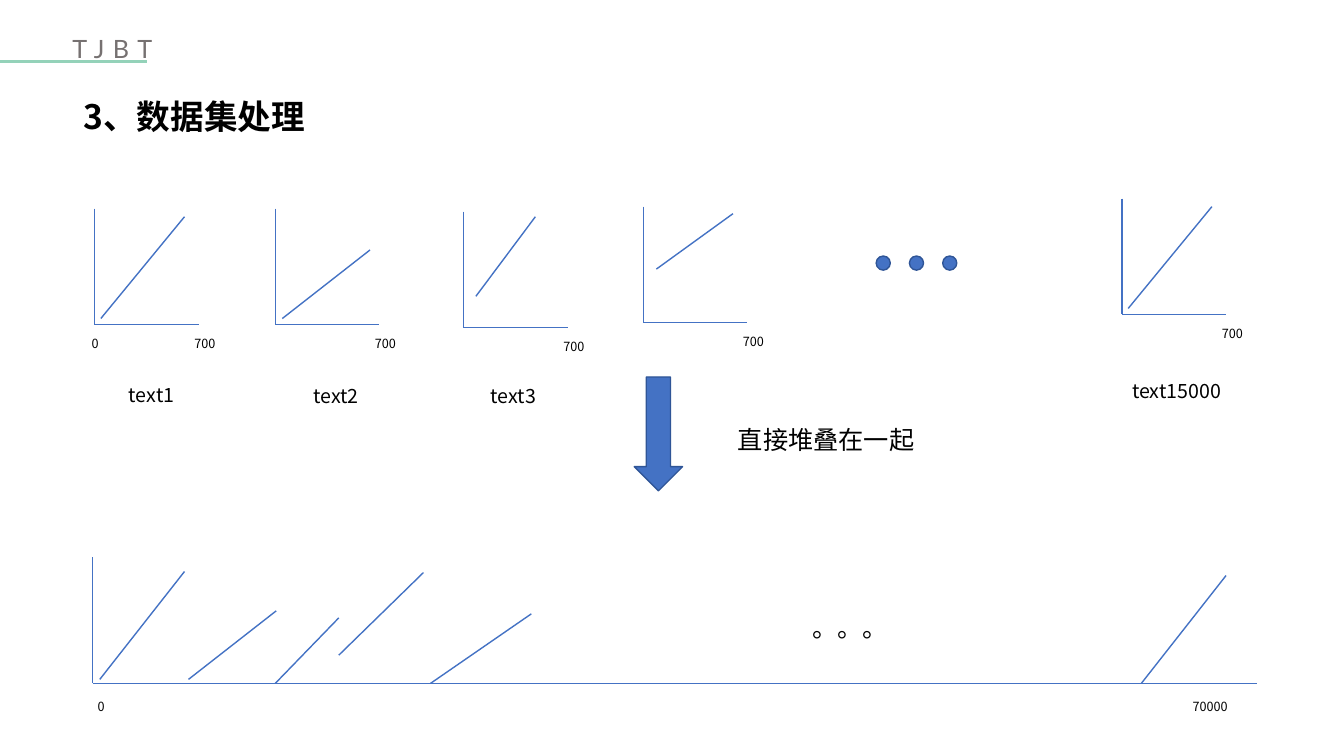
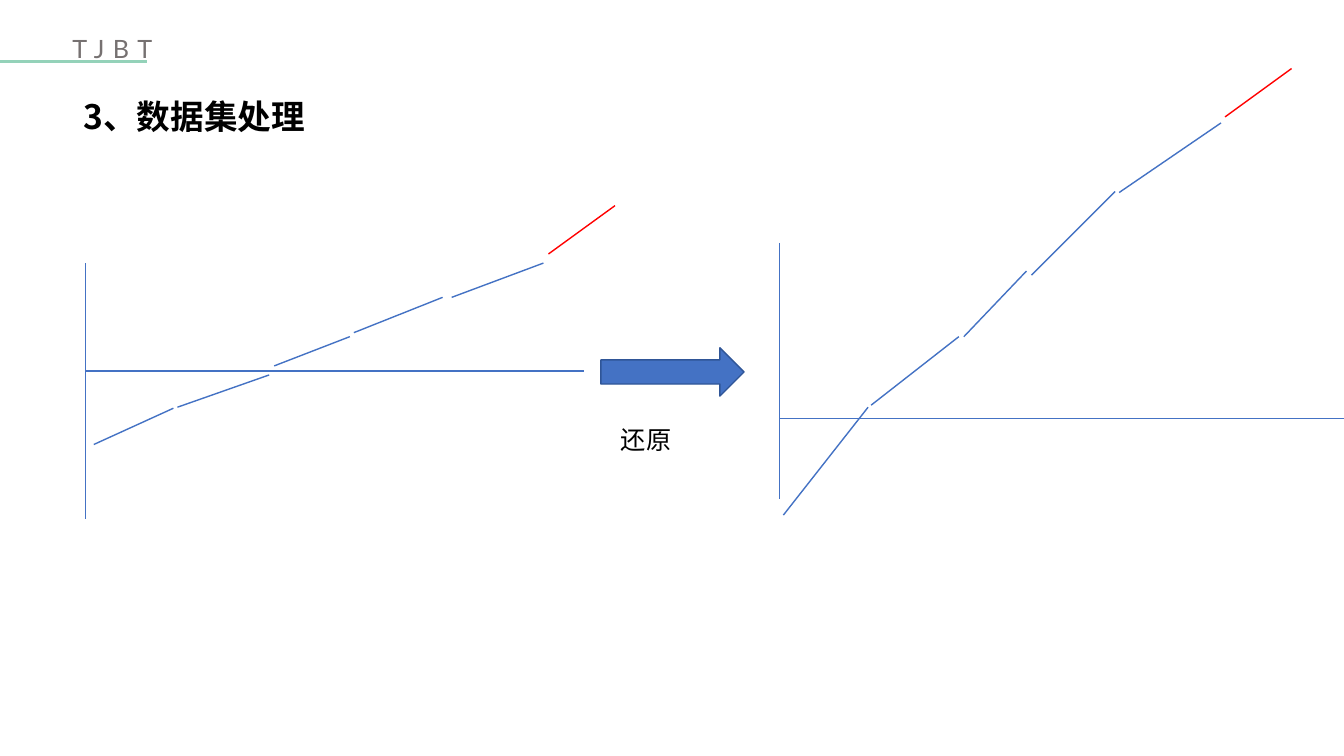
from lxml.etree import SubElement
from pptx import Presentation
from pptx.dml.color import RGBColor
from pptx.enum.shapes import MSO_CONNECTOR, MSO_SHAPE as SHAPE
from pptx.oxml.ns import qn
from pptx.util import Inches, Pt

# Lengths are counted in square grid cells, 133.3 columns by 75 rows.
COLS, ROWS = 133.3, 75
SANS, LATO = "Noto Sans CJK SC", "Lato"
BLUE, DARK_BLUE, RED = "4472C4", "2F5597", "FF0000"
MINT, GRAY, BLACK = "94D2B9", "767171", "000000"

# origin x, origin y, segment relative to the origin (y upwards), name, name offset
SAMPLES = [
    (9.4, 32.2, (0.6, 0.6, 8.9, 10.7), "text1", (2.4, 5.6)),
    (27.3, 32.2, (0.7, 0.6, 9.4, 7.4), "text2", (2.8, 5.7)),
    (46, 32.5, (1.2, 3.1, 7.1, 11), "text3", (1.7, 5.4)),
    (63.8, 32, (1.3, 5.3, 8.9, 10.8), None, None),
    (111.3, 31.2, (0.6, 0.6, 8.9, 10.7), "text15000", (0, 6.2)),
]
STACKED = [
    (9.9, 67.4, 18.3, 56.7), (18.7, 67.4, 27.4, 60.6), (27.3, 67.8, 33.6, 61.3),
    (33.6, 65, 42, 56.8), (42.7, 67.8, 52.7, 60.9), (113.2, 67.8, 121.6, 57.1),
]
# The last segment of each curve is highlighted.
NORMALIZED = [
    (9.3, 44.1, 17.2, 40.5), (17.6, 40.4, 26.7, 37.2), (27.2, 36.3, 34.7, 33.4),
    (35.1, 33, 43.9, 29.5), (44.8, 29.5, 53.9, 26.1), (54.4, 25.2, 61, 20.4),
]
RESTORED = [
    (77.7, 51.1, 86.1, 40.4), (86.4, 40.2, 95.1, 33.4), (95.6, 33.4, 101.8, 26.9),
    (102.3, 27.3, 110.6, 19), (111, 19.1, 121.1, 12.2), (121.5, 11.6, 128.1, 6.8),
]


def cells(n):
    return Inches(n * 0.1)


def rgb(color):
    return RGBColor.from_string(color)


def add_line(s, x1, y1, x2, y2, color=BLUE, width=1):
    c = s.shapes.add_connector(MSO_CONNECTOR.STRAIGHT, *map(cells, (x1, y1, x2, y2)))
    c.line.color.rgb = rgb(color)
    c.line.width = Pt(width)
    SubElement(c._element.spPr, qn("a:effectLst"))


def add_text(s, text, x, y, w, h, size=18, font=SANS, color=BLACK,
             bold=False, tracking=0, spacing=0.9):
    tf = s.shapes.add_textbox(*map(cells, (x, y, w, h))).text_frame
    tf.word_wrap = True
    p = tf.paragraphs[0]
    p.line_spacing = spacing
    r = p.add_run()
    r.text = text
    r.font.size, r.font.bold, r.font.name = Pt(size), bold, font
    r.font.color.rgb = rgb(color)
    rPr = r._r.get_or_add_rPr()
    SubElement(rPr, qn("a:ea"), typeface=font)
    if tracking:
        rPr.set("spc", str(tracking * 100))


def add_solid(s, kind, x, y, w, h):
    sp = s.shapes.add_shape(kind, *map(cells, (x, y, w, h)))
    sp.shadow.inherit = False
    sp.fill.solid()
    sp.fill.fore_color.rgb = rgb(BLUE)
    sp.line.color.rgb = rgb(DARK_BLUE)
    sp.line.width = Pt(1)


def add_axes(s, x, y, width, up, down=0):
    """Draw both axes from the origin; the vertical one may reach below it."""
    add_line(s, x, y - up, x, y + down)
    add_line(s, x, y, x + width, y)


def add_tick(s, text, x, y):
    add_text(s, text, x, y, 9.7 if len(text) > 3 else 5.3, 2.5, size=9)


def add_sample(s, x, y, segment, name, offset):
    add_axes(s, x, y, 10.3, 11.5)
    x1, up1, x2, up2 = segment
    add_line(s, x + x1, y - up1, x + x2, y - up2)
    add_tick(s, "700", x + 8.9, y + 0.8)
    if name:
        add_text(s, name, x + offset[0], y + offset[1], 11.2, 3.4, size=14)


def add_curve(s, segments):
    for segment in segments[:-1]:
        add_line(s, *segment)
    add_line(s, *segments[-1], color=RED)


def new_slide(prs):
    s = prs.slides.add_slide(prs.slide_layouts[6])
    add_line(s, 0, 6.1, 14.6, 6.1, color=MINT, width=1.5)
    add_text(s, "TJBT", 6.2, 2.8, 22.4, 4, font=LATO, color=GRAY,
             tracking=6, spacing=1)
    add_text(s, "3、数据集处理", 7.3, 9.5, 117.2, 6, size=24, bold=True)
    return s


def build_stacking(prs):
    s = new_slide(prs)
    for sample in SAMPLES:
        add_sample(s, *sample)
    add_tick(s, "0", 8.1, 33)
    for i in range(3):
        add_solid(s, SHAPE.OVAL, 86.9 + 3.3 * i, 25.4, 1.4, 1.4)
    add_solid(s, SHAPE.DOWN_ARROW, 62.9, 37.4, 4.8, 11.3)
    add_text(s, "直接堆叠在一起", 72.2, 41.9, 44.4, 4)

    add_axes(s, 9.2, 67.8, 115.5, 12.5)
    for segment in STACKED:
        add_line(s, *segment)
    add_text(s, "。。。", 79.6, 60.6, 20, 4)
    add_tick(s, "0", 8.7, 69)
    add_tick(s, "70000", 117.3, 69)


def build_restoring(prs):
    s = new_slide(prs)
    add_axes(s, 8.5, 36.8, 49.4, 10.7, 14.7)
    add_curve(s, NORMALIZED)
    add_solid(s, SHAPE.RIGHT_ARROW, 59.6, 34.5, 14.2, 4.8)
    add_text(s, "还原", 60.6, 41.9, 12, 4)
    add_axes(s, 77.3, 41.5, COLS - 77.3, 17.4, 8)
    add_curve(s, RESTORED)


def main():
    prs = Presentation()
    prs.slide_width, prs.slide_height = cells(COLS), cells(ROWS)
    build_stacking(prs)
    build_restoring(prs)
    prs.save("out.pptx")


if __name__ == "__main__":
    main()
